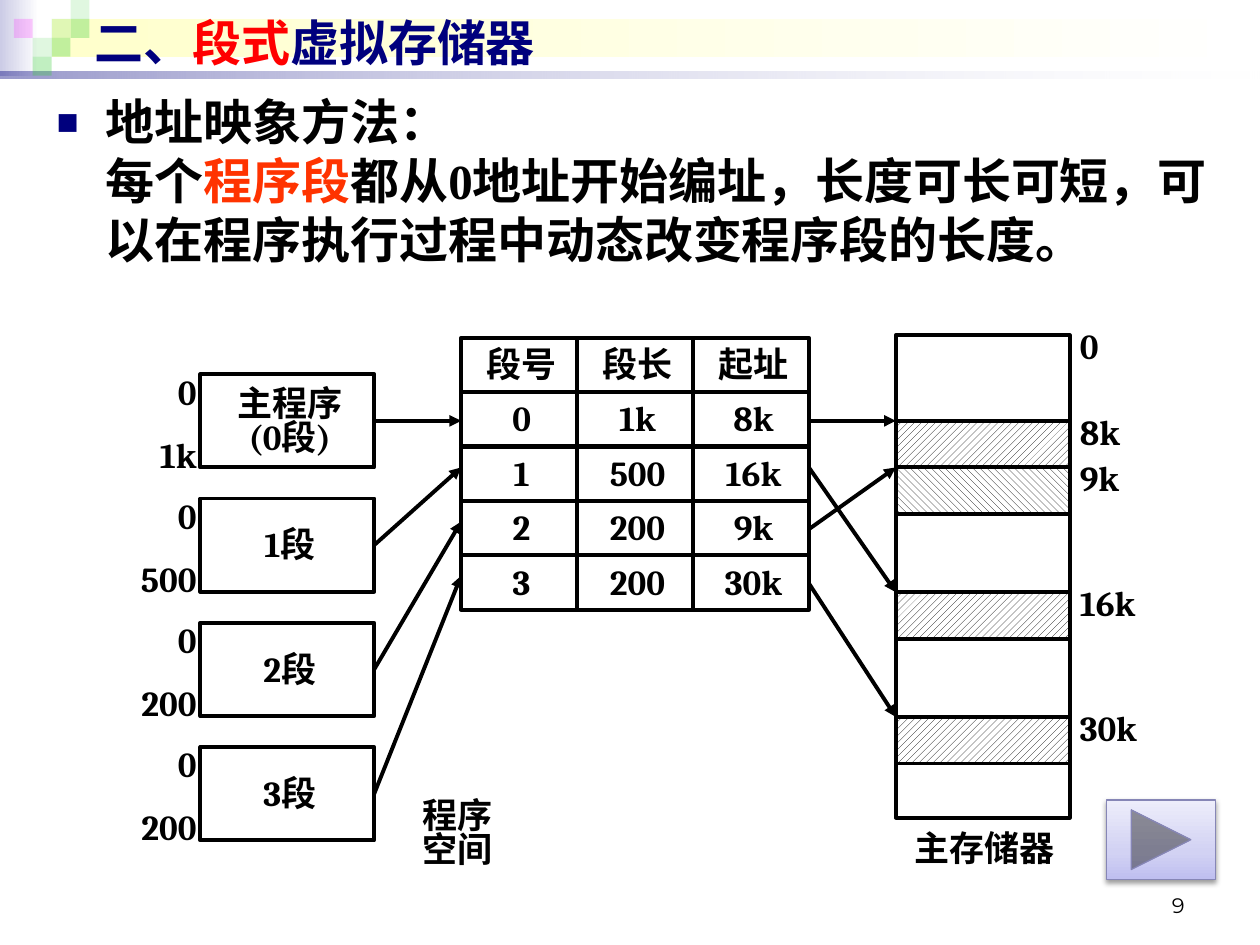
"""Build the slide on address mapping in a segmented virtual memory."""
from itertools import accumulate

from lxml import etree
from pptx import Presentation
from pptx.dml.color import RGBColor
from pptx.enum.dml import MSO_PATTERN
from pptx.enum.shapes import MSO_CONNECTOR, MSO_SHAPE
from pptx.enum.text import MSO_ANCHOR, MSO_AUTO_SIZE, PP_ALIGN
from pptx.oxml import parse_xml
from pptx.oxml.ns import nsdecls, qn
from pptx.util import Inches, Pt

RECT, NEXT_BUTTON = MSO_SHAPE.RECTANGLE, MSO_SHAPE.ACTION_BUTTON_FORWARD_OR_NEXT
LEFT, CENTER, RIGHT = PP_ALIGN.LEFT, PP_ALIGN.CENTER, PP_ALIGN.RIGHT
MIDDLE, BOTTOM = MSO_ANCHOR.MIDDLE, MSO_ANCHOR.BOTTOM
UP, DOWN = MSO_PATTERN.WIDE_UPWARD_DIAGONAL, MSO_PATTERN.WIDE_DOWNWARD_DIAGONAL
STRAIGHT, NO_AUTOFIT = MSO_CONNECTOR.STRAIGHT, MSO_AUTO_SIZE.NONE

BLACK, WHITE = RGBColor(0, 0, 0), RGBColor(255, 255, 255)
NAVY, RED, ORANGE = RGBColor(0, 0, 0x7D), RGBColor(255, 0, 0), RGBColor(255, 0x33, 0)
GREEN, MAGENTA = RGBColor(0x33, 0xCC, 0x33), RGBColor(255, 0, 255)
LAVENDER, CREAM = RGBColor(0xCC, 0xCC, 0xE6), RGBColor(255, 255, 0xCC)
BUTTON_LOW, BUTTON_MID = RGBColor(0xBF, 0xBF, 0xF0), RGBColor(0xD2, 0xD2, 0xF3)
BUTTON_HIGH, BUTTON_EDGE = RGBColor(0xED, 0xED, 0xFB), RGBColor(0x86, 0x86, 0xB6)

TITLE = [("二、", NAVY), ("段式", RED), ("虚拟存储器", NAVY)]
BODY = [("地址映象方法：\n每个", BLACK), ("程序段", ORANGE),
        ("都从0地址开始编址，长度可长可短，可以在程序执行过程中动态改变程序段的长度。", BLACK)]

# name, end address, arrow height into the table, arrow height out of it, memory block
SEGMENTS = [("主程序\n(0段)", "1k", 3.34, 3.34, 1), ("1段", "500", 3.71, 3.71, 4),
            ("2段", "200", 4.14, 4.2, 2), ("3段", "200", 4.57, 4.63, 6)]
SEGMENT_TABLE = [("段号", "段长", "起址"), ("0", "1k", "8k"), ("1", "500", "16k"),
                 ("2", "200", "9k"), ("3", "200", "30k")]
MEMORY = [(0.68, None, "0"), (0.37, UP, "8k"), (0.37, DOWN, "9k"), (0.62, None, ""),
          (0.37, UP, "16k"), (0.62, None, ""), (0.37, UP, "30k"), (0.43, None, "")]
CAPTIONS = [("程序\n空间", (3.12, 6.24, 0.99, 0.74)), ("主存储器", (6.95, 6.55, 1.69, 0.37))]

BANDS = [((0, 0, 0.31, 0.6), [(0, LAVENDER, 100), (100, WHITE, 100)]),
         ((0.41, 0.15, 9.55, 0.3), [(0, CREAM, 100), (100, WHITE, 100)]),
         ((0, 0.57, 10, 0.05), [(0, NAVY, 40), (100, WHITE, 10)])]
TILE = 0.15
TILES = [(2, 1, GREEN, 15), (3, 0, GREEN, 15), (3, 1, GREEN, 30), (1, 2, GREEN, 15),
         (0, 1, MAGENTA, 20), (2, 2, GREEN, 30), (1, 3, GREEN, 30)]

BOX_LEFT, BOX_TOP, BOX_W, BOX_H, BOX_STEP = 1.59, 2.97, 1.38, 0.74, 2.96 / 3
TABLE_LEFT, TABLE_TOP, CELL_W, CELL_H = 3.66, 2.68, 0.92, 2.16 / 5
MEMORY_LEFT, MEMORY_TOP, LABEL_W = 7.11, 2.66, 0.77
TABLE_RIGHT, MEMORY_RIGHT = TABLE_LEFT + 3 * CELL_W, MEMORY_LEFT + BOX_W

DIAGRAM_FONT = {"name": "Cambria", "size": Pt(20), "bold": True}
DIAGRAM_FRAME = {"margin_left": Inches(0.08), "margin_top": Inches(0.04),
                 "margin_right": Inches(0.04), "margin_bottom": 0,
                 "vertical_anchor": MIDDLE, "word_wrap": False}


def apply(target, values):
    """Set every attribute named in values."""
    for key, value in values.items():
        setattr(target, key, value)


def inches(*lengths):
    """Convert lengths to EMU."""
    return [Inches(length) for length in lengths]


def gradient(shape, stops, angle=0):
    """Fill with (position, colour, opacity) stops."""
    marks = "".join(f'<a:gs pos="{pos * 1000}"><a:srgbClr val="{colour}">'
                    f'<a:alpha val="{opacity * 1000}"/></a:srgbClr></a:gs>'
                    for pos, colour, opacity in stops)
    shape.fill.background()
    properties = shape.element.spPr
    properties.replace(properties.find(qn("a:noFill")), parse_xml(
        f'<a:gradFill {nsdecls("a")} rotWithShape="1"><a:gsLst>{marks}</a:gsLst>'
        f'<a:lin ang="{angle * 60000}" scaled="0"/></a:gradFill>'))


def add_block(shapes, at, edge=None, width=2.25, kind=RECT):
    """Add an unfilled shape, outlined when an edge colour is given."""
    block = shapes.add_shape(kind, *inches(*at))
    block.shadow.inherit = False
    block.fill.background()
    if edge is None:
        block.line.fill.background()
    else:
        block.line.color.rgb = edge
        block.line.width = Pt(width)
    return block


def write(shape, text, align=CENTER):
    """Put diagram lettering in a shape."""
    frame = shape.text_frame
    apply(frame, DIAGRAM_FRAME)
    line = frame.paragraphs[0]
    line.text = text
    apply(line, {"alignment": align, "line_spacing": 0.8})
    for run in line.runs:
        apply(run.font, DIAGRAM_FONT)
        run.font.color.rgb = BLACK


def add_label(shapes, text, at, align=CENTER):
    """Add free-standing diagram lettering."""
    write(shapes.add_textbox(*inches(*at)), text, align)


def add_arrow(shapes, start, end, source=None):
    """Add an arrow, joined to the right side of its source box if any."""
    arrow = shapes.add_connector(STRAIGHT, *inches(*start, *end))
    if source is not None:
        arrow.begin_connect(source, 3)
    arrow.line.color.rgb = BLACK
    arrow.line.width = Pt(2.25)
    properties = arrow.element.spPr
    etree.SubElement(properties.find(qn("a:ln")), qn("a:tailEnd"), type="triangle")
    etree.SubElement(properties, qn("a:effectLst"))


def fill_placeholder(holder, at, pieces, font):
    """Place a placeholder in front and write its coloured pieces."""
    holder.element.getparent().append(holder.element)
    apply(holder, dict(zip(("left", "top", "width", "height"), inches(*at))))
    holder.text_frame.auto_size = NO_AUTOFIT
    paragraph = holder.text_frame.paragraphs[0]
    paragraph.alignment = LEFT
    for text, colour in pieces:
        for number, part in enumerate(text.split("\n")):
            if number:
                paragraph.add_line_break()
            run = paragraph.add_run()
            run.text = part
            apply(run.font, {"name": font, "size": Pt(28), "bold": True})
            run.font.color.rgb = colour
    return paragraph


def add_heading(slide):
    """Add the header decoration, title, body and page number."""
    shapes = slide.shapes
    for at, stops in BANDS:
        gradient(add_block(shapes, at), stops)
    for column, row, colour, opacity in TILES:
        tile = add_block(shapes, (0.11 + column * TILE, row * TILE, TILE, TILE))
        tile.fill.solid()
        tile.fill.fore_color.rgb = colour
        etree.SubElement(tile.element.spPr.find(".//" + qn("a:srgbClr")), qn("a:alpha"),
                         val=str(opacity * 1000))
    fill_placeholder(shapes.title, (0.65, 0.05, 9, 0.57), TITLE, "Arial")
    shapes.title.text_frame.vertical_anchor = MIDDLE
    method = fill_placeholder(slide.placeholders[1], (0.35, 0.68, 9.45, 6.61), BODY,
                              "Times New Roman")
    method.space_before = Pt(5.6)
    bullet = method._p.get_or_add_pPr()
    bullet.set("marL", str(Inches(0.39)))
    bullet.set("indent", str(Inches(-0.39)))
    for xml in (f'<a:buClr {nsdecls("a")}><a:srgbClr val="{NAVY}"/></a:buClr>',
                f'<a:buSzPct {nsdecls("a")} val="75000"/>',
                f'<a:buFont {nsdecls("a")} typeface="Arial"/>',
                f'<a:buChar {nsdecls("a")} char="■"/>'):
        bullet.append(parse_xml(xml))
    page = shapes.add_textbox(*inches(7.17, 6.93, 2.33, 0.4)).text_frame
    apply(page, {"text": "9", "word_wrap": True, "vertical_anchor": BOTTOM})
    page.paragraphs[0].alignment = RIGHT
    apply(page.paragraphs[0].runs[0].font, {"name": "Montserrat", "size": Pt(12)})
    page.paragraphs[0].runs[0].font.color.rgb = BLACK


def add_diagram(shapes):
    """Add the segments, the segment table, main memory and arrows."""
    block_tops = list(accumulate((height for height, *_ in MEMORY), initial=MEMORY_TOP))
    for top, (height, pattern, address) in zip(block_tops, MEMORY):
        block = add_block(shapes, (MEMORY_LEFT, top, BOX_W, height), BLACK)
        if pattern is not None:
            block.fill.patterned()
            block.fill.pattern = pattern
            block.fill.fore_color.rgb = BLACK
            block.fill.back_color.rgb = WHITE
        if address:
            add_label(shapes, address, (MEMORY_RIGHT, top - 0.09, LABEL_W, 0.37), LEFT)
    for row, values in enumerate(SEGMENT_TABLE):
        for column, value in enumerate(values):
            write(add_block(shapes, (TABLE_LEFT + column * CELL_W, TABLE_TOP + row * CELL_H,
                                     CELL_W, CELL_H), BLACK), value)
    for index, (name, end, entry, leave, target) in enumerate(SEGMENTS):
        top = BOX_TOP + index * BOX_STEP
        box = add_block(shapes, (BOX_LEFT, top, BOX_W, BOX_H), BLACK)
        write(box, name)
        for address, offset in (("0", -0.07), (end, 0.43)):
            add_label(shapes, address, (0.83, top + offset, LABEL_W, 0.43), RIGHT)
        add_arrow(shapes, (BOX_LEFT + BOX_W, top + BOX_H / 2), (TABLE_LEFT, entry), box)
        add_arrow(shapes, (TABLE_RIGHT, leave), (MEMORY_LEFT, block_tops[target]))
    for caption, at in CAPTIONS:
        add_label(shapes, caption, at)


def add_button(shapes):
    """Add the forward button with its soft shadow."""
    button = add_block(shapes, (8.78, 6.35, 0.87, 0.63), BUTTON_EDGE, 0.75, NEXT_BUTTON)
    gradient(button, [(0, BUTTON_LOW, 100), (35, BUTTON_MID, 100), (100, BUTTON_HIGH, 100)], 270)
    button.element.spPr.find(qn("a:effectLst")).append(parse_xml(
        f'<a:outerShdw {nsdecls("a")} blurRad="{Pt(3.1)}" dist="{Pt(1.6)}" dir="5400000" '
        f'rotWithShape="0"><a:srgbClr val="{BLACK}"><a:alpha val="38000"/></a:srgbClr>'
        '</a:outerShdw>'))


def main():
    """Build and save the slide."""
    deck = Presentation()
    deck.slide_width, deck.slide_height = inches(10, 7.5)
    slide = deck.slides.add_slide(deck.slide_layouts[1])
    add_heading(slide)
    add_diagram(slide.shapes)
    add_button(slide.shapes)
    deck.save("out.pptx")


if __name__ == "__main__":
    main()
